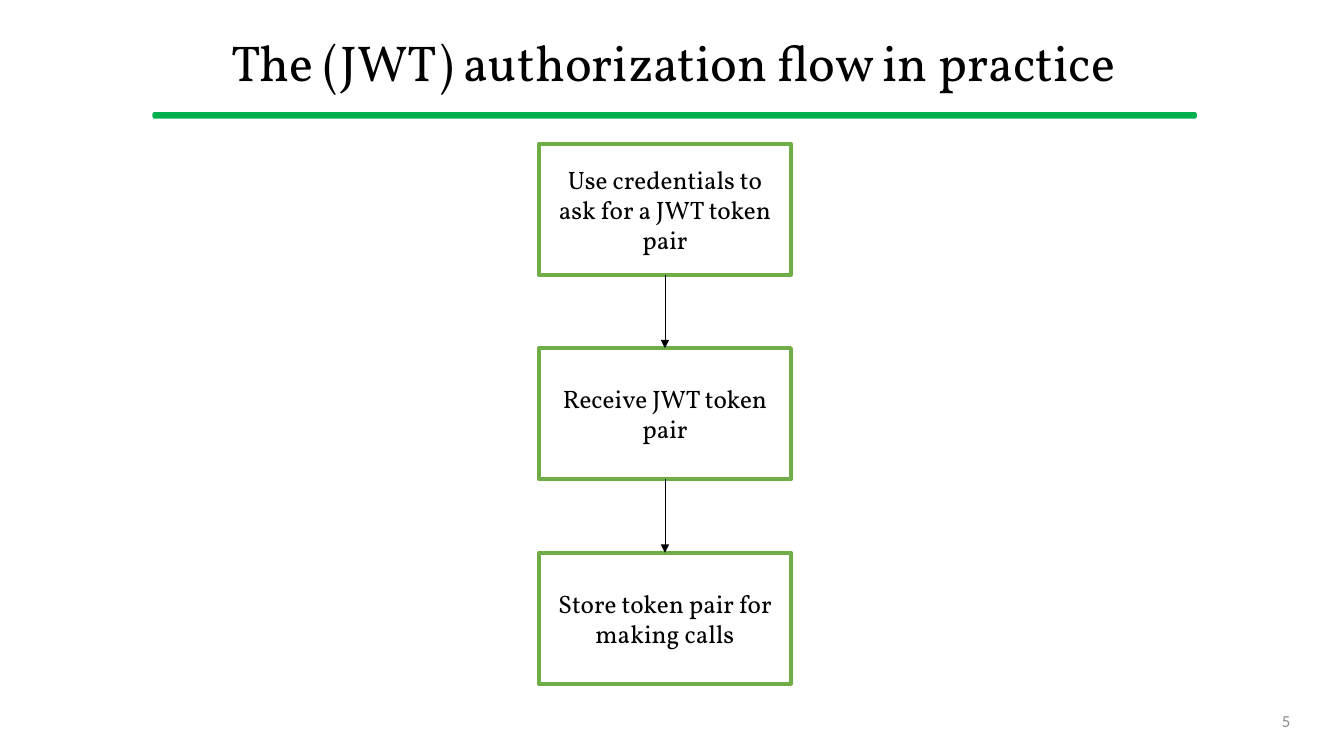
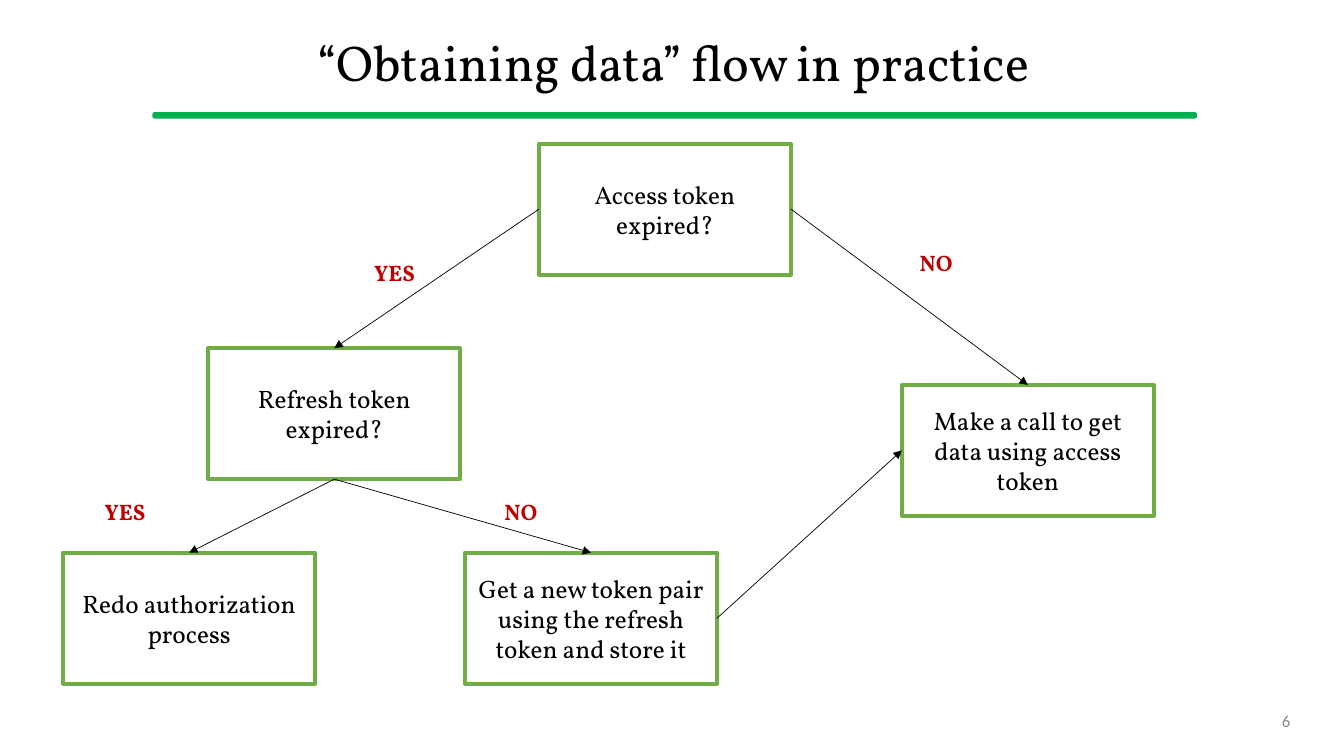
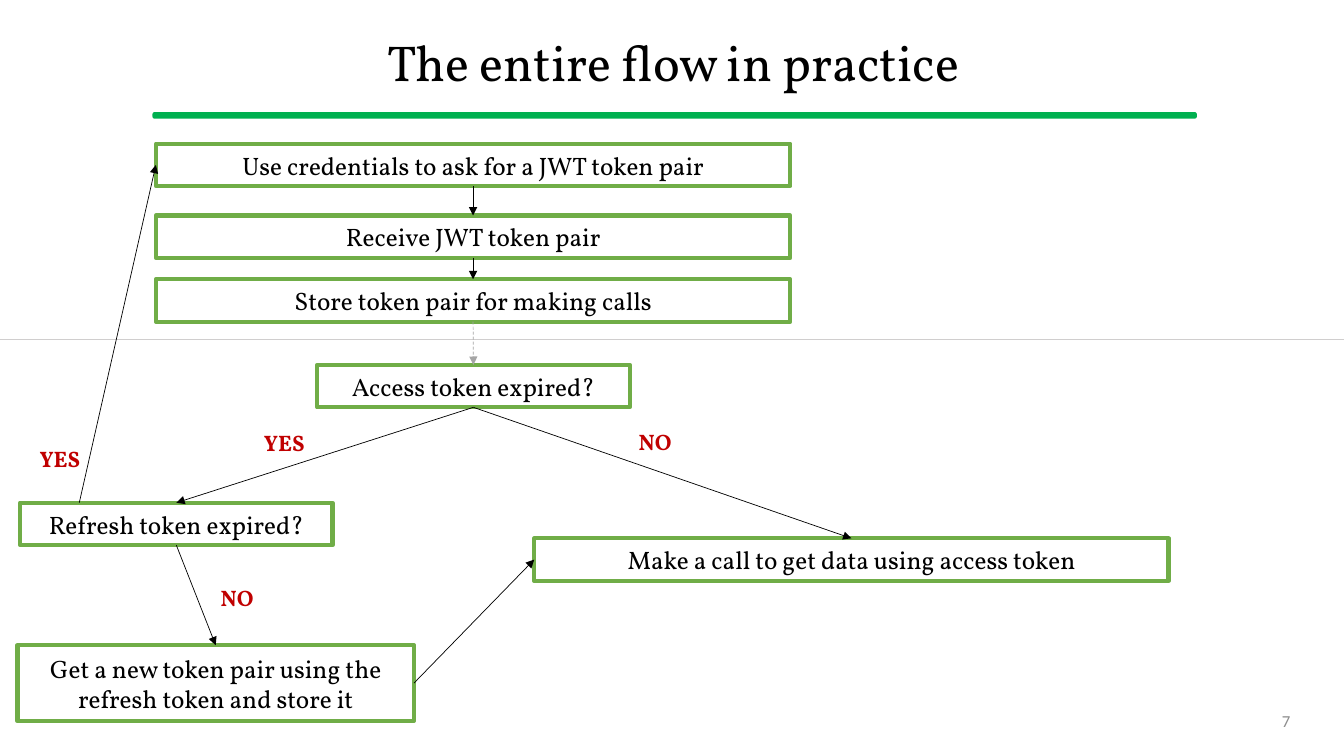
from dataclasses import dataclass

from lxml import etree
from pptx import Presentation
from pptx.dml.color import RGBColor
from pptx.enum.dml import MSO_LINE
from pptx.enum.shapes import MSO_CONNECTOR, MSO_SHAPE
from pptx.enum.text import MSO_ANCHOR, MSO_AUTO_SIZE, PP_ALIGN
from pptx.oxml.ns import qn
from pptx.util import Inches, Pt

RECTANGLE, ROUNDED = MSO_SHAPE.RECTANGLE, MSO_SHAPE.ROUNDED_RECTANGLE
STRAIGHT, DASH = MSO_CONNECTOR.STRAIGHT, MSO_LINE.DASH
TOP_ANCHOR, MIDDLE = MSO_ANCHOR.TOP, MSO_ANCHOR.MIDDLE
CENTER, RIGHT_ALIGN = PP_ALIGN.CENTER, PP_ALIGN.RIGHT
NO_AUTOFIT = MSO_AUTO_SIZE.NONE
TOP, LEFT, BOTTOM, RIGHT = range(4)
TITLE_ONLY = 5
FIRST_NUMBER = 5


@dataclass(frozen=True)
class Theme:
    """Colours, fonts and sizes shared by all slides."""

    ink: str = "000000"
    paper: str = "FFFFFF"
    rule: str = "00B050"
    border: str = "70AD47"
    answer: str = "C00000"
    number: str = "8C8C8C"
    faint: str = "A5A5A5"
    divider: str = "D0CECE"
    font: str = "Vollkorn"
    number_font: str = "Calibri"
    title_size: float = 36
    step_size: float = 18
    answer_size: float = 16
    number_size: float = 12
    border_width: float = 3
    rule_width: float = 1
    arrow_width: float = 0.5


THEME = Theme()


@dataclass(frozen=True)
class Region:
    """A rectangle whose inner areas are given in percent of its sides."""

    left: float
    top: float
    width: float
    height: float

    def inner(self, left, top, width, height):
        """Return the region at the given percentages of this one."""
        return Region(
            self.left + self.width * left / 100,
            self.top + self.height * top / 100,
            self.width * width / 100,
            self.height * height / 100,
        )

    def lengths(self):
        """Return left, top, width and height as slide lengths."""
        return [Inches(side) for side in (self.left, self.top, self.width, self.height)]


SLIDE = Region(0, 0, 13.33, 7.5)
TITLE_AREA = SLIDE.inner(3.5, 2.4, 93.2, 12.5)
RULE_AREA = SLIDE.inner(11.4, 14.93, 77.6, 0.67)
NUMBER_AREA = SLIDE.inner(70.65, 92.67, 26.1, 5.33)
BODY = SLIDE.inner(0, 19, 100, 76)

TALL_STEP = (18.75, 22.8)
ROW_PITCH = 35.6
MIDDLE_COLUMN = 40.1
BAR_HEIGHT = 7.4
WIDE_BAR = (47.2, BAR_HEIGHT)
SHORT_BAR = (23.25, BAR_HEIGHT)
ANSWER_BOX = (6.3, 7)

ASK = "Use credentials to ask for a JWT token pair"
RECEIVE = "Receive JWT token pair"
STORE = "Store token pair for making calls"
ACCESS = "Access token expired?"
REFRESH = "Refresh token expired?"
CALL = "Make a call to get data using access token"
RENEW = "Get a new token pair using the refresh token and store it"


def color(code):
    """Return the colour for a hexadecimal code."""
    return RGBColor.from_string(code)


def write(box, text, size, ink=THEME.ink, font=THEME.font, bold=False,
          align=CENTER, anchor=MIDDLE, spacing=1.0):
    """Write one formatted paragraph into a box."""
    frame = box.text_frame
    frame.word_wrap = True
    frame.auto_size = NO_AUTOFIT
    frame.vertical_anchor = anchor
    para = frame.paragraphs[0]
    para.alignment = align
    para.line_spacing = spacing
    span = para.add_run()
    span.text = text
    span.font.name = font
    span.font.size = Pt(size)
    span.font.bold = bold
    span.font.color.rgb = color(ink)


def draw_shape(page, kind, region, fill, line, width):
    """Draw a flat preset shape that fills the region."""
    shape = page.shapes.add_shape(kind, *region.lengths())
    shape.shadow.inherit = False
    shape.fill.solid()
    shape.fill.fore_color.rgb = color(fill)
    shape.line.color.rgb = color(line)
    shape.line.width = Pt(width)
    return shape


def draw_step(page, region, text):
    """Draw one bordered step of a flow."""
    step = draw_shape(page, RECTANGLE, region, THEME.paper, THEME.border, THEME.border_width)
    write(step, text, THEME.step_size)
    return step


def draw_steps(page, region, steps):
    """Draw named steps given as left, top, size and text."""
    return {
        name: draw_step(page, region.inner(left, top, *size), text)
        for name, (left, top, size, text) in steps.items()
    }


def draw_answers(page, region, answers):
    """Write the YES and NO labels beside the arrows."""
    for text, left, top in answers:
        label = page.shapes.add_textbox(*region.inner(left, top, *ANSWER_BOX).lengths())
        write(label, text, THEME.answer_size, THEME.answer, bold=True,
              anchor=TOP_ANCHOR, spacing=0.9)


def draw_line(page, start, end, ink=THEME.ink):
    """Draw a thin straight line without shadow."""
    line = page.shapes.add_connector(STRAIGHT, *start, *end)
    line.line.color.rgb = color(ink)
    line.line.width = Pt(THEME.arrow_width)
    etree.SubElement(line.element.spPr, qn("a:effectLst"))
    return line


def add_head(line):
    """Put a triangular head at the end of a line."""
    outline = line.element.spPr.find(qn("a:ln"))
    etree.SubElement(outline, qn("a:tailEnd"), type="triangle")


def draw_arrow(page, source, source_side, target, target_side, ink=THEME.ink, dash=None):
    """Join the sides of two steps with an arrow."""
    arrow = draw_line(page, (0, 0), (0, 0), ink)
    arrow.begin_connect(source, source_side)
    arrow.end_connect(target, target_side)
    if dash is not None:
        arrow.line.dash_style = dash
    add_head(arrow)


def draw_arrows(page, steps, links):
    """Draw arrows between named steps."""
    for source, source_side, target, target_side in links:
        draw_arrow(page, steps[source], source_side, steps[target], target_side)


def add_page(deck, title, number):
    """Add a slide with its title, green rule and number."""
    page = deck.slides.add_slide(deck.slide_layouts[TITLE_ONLY])
    heading = page.shapes.title
    heading.left, heading.top, heading.width, heading.height = TITLE_AREA.lengths()
    write(heading, title, THEME.title_size, spacing=0.9)
    rule = draw_shape(page, ROUNDED, RULE_AREA, THEME.rule, THEME.rule, THEME.rule_width)
    rule.adjustments[0] = 0.26
    label = page.shapes.add_textbox(*NUMBER_AREA.lengths())
    write(label, str(number), THEME.number_size, THEME.number, THEME.number_font,
          align=RIGHT_ALIGN)
    return page


def draw_authorization(page, region):
    """Draw the three authorization steps in a column."""
    steps = draw_steps(page, region, {
        text: (MIDDLE_COLUMN, row * ROW_PITCH, TALL_STEP, text)
        for row, text in enumerate((ASK, RECEIVE, STORE))
    })
    draw_arrows(page, steps, [
        (ASK, BOTTOM, RECEIVE, TOP),
        (RECEIVE, BOTTOM, STORE, TOP),
    ])


def draw_data_flow(page, region):
    """Draw the decision tree for obtaining data."""
    steps = draw_steps(page, region, {
        "access": (MIDDLE_COLUMN, 0, TALL_STEP, ACCESS),
        "call": (67.1, 42, TALL_STEP, CALL),
        "refresh": (15.5, ROW_PITCH, TALL_STEP, REFRESH),
        "redo": (4.7, 2 * ROW_PITCH, TALL_STEP, "Redo authorization process"),
        "renew": (34.6, 2 * ROW_PITCH, TALL_STEP, RENEW),
    })
    draw_arrows(page, steps, [
        ("access", RIGHT, "call", TOP),
        ("access", LEFT, "refresh", TOP),
        ("refresh", BOTTOM, "renew", TOP),
        ("refresh", BOTTOM, "redo", TOP),
        ("renew", RIGHT, "call", LEFT),
    ])
    draw_answers(page, region, [
        ("NO", 66.5, 18), ("YES", 26.2, 19.7), ("YES", 6.15, 61.3), ("NO", 35.6, 61.3),
    ])


def draw_entire_flow(page, region):
    """Draw authorization above the divider and data access below it."""
    left, top, width, _ = region.inner(0, 34.1, 100, 0).lengths()
    draw_line(page, (left, top), (left + width, top), THEME.divider)
    steps = draw_steps(page, region, {
        "ask": (11.6, 0, WIDE_BAR, ASK),
        "receive": (11.6, 12.5, WIDE_BAR, RECEIVE),
        "store": (11.6, 23.6, WIDE_BAR, STORE),
        "access": (23.6, 38.5, SHORT_BAR, ACCESS),
        "call": (39.75, 68.7, WIDE_BAR, CALL),
        "refresh": (1.5, 62.5, SHORT_BAR, REFRESH),
        "renew": (1.3, 87.3, (29.5, 13.2), RENEW),
    })
    draw_arrows(page, steps, [
        ("ask", BOTTOM, "receive", TOP),
        ("receive", BOTTOM, "store", TOP),
        ("access", BOTTOM, "call", TOP),
        ("access", BOTTOM, "refresh", TOP),
        ("refresh", BOTTOM, "renew", TOP),
        ("renew", RIGHT, "call", LEFT),
    ])
    draw_arrow(page, steps["store"], BOTTOM, steps["access"], TOP, THEME.faint, DASH)
    start = region.inner(5.9, 62.5, 0, 0).lengths()[:2]
    restart = draw_line(page, start, start)
    restart.end_connect(steps["ask"], LEFT)
    add_head(restart)
    draw_answers(page, region, [
        ("YES", 18, 49.4), ("NO", 45.6, 49.2), ("YES", 1.3, 52.2), ("NO", 14.5, 76.4),
    ])


def main():
    """Build and save the deck."""
    deck = Presentation()
    deck.slide_width, deck.slide_height = SLIDE.lengths()[2:]
    flows = [
        ("The (JWT) authorization flow in practice", draw_authorization),
        ("“Obtaining data” flow in practice", draw_data_flow),
        ("The entire flow in practice", draw_entire_flow),
    ]
    for number, (title, draw_flow) in enumerate(flows, FIRST_NUMBER):
        draw_flow(add_page(deck, title, number), BODY)
    deck.save("out.pptx")


if __name__ == "__main__":
    main()
